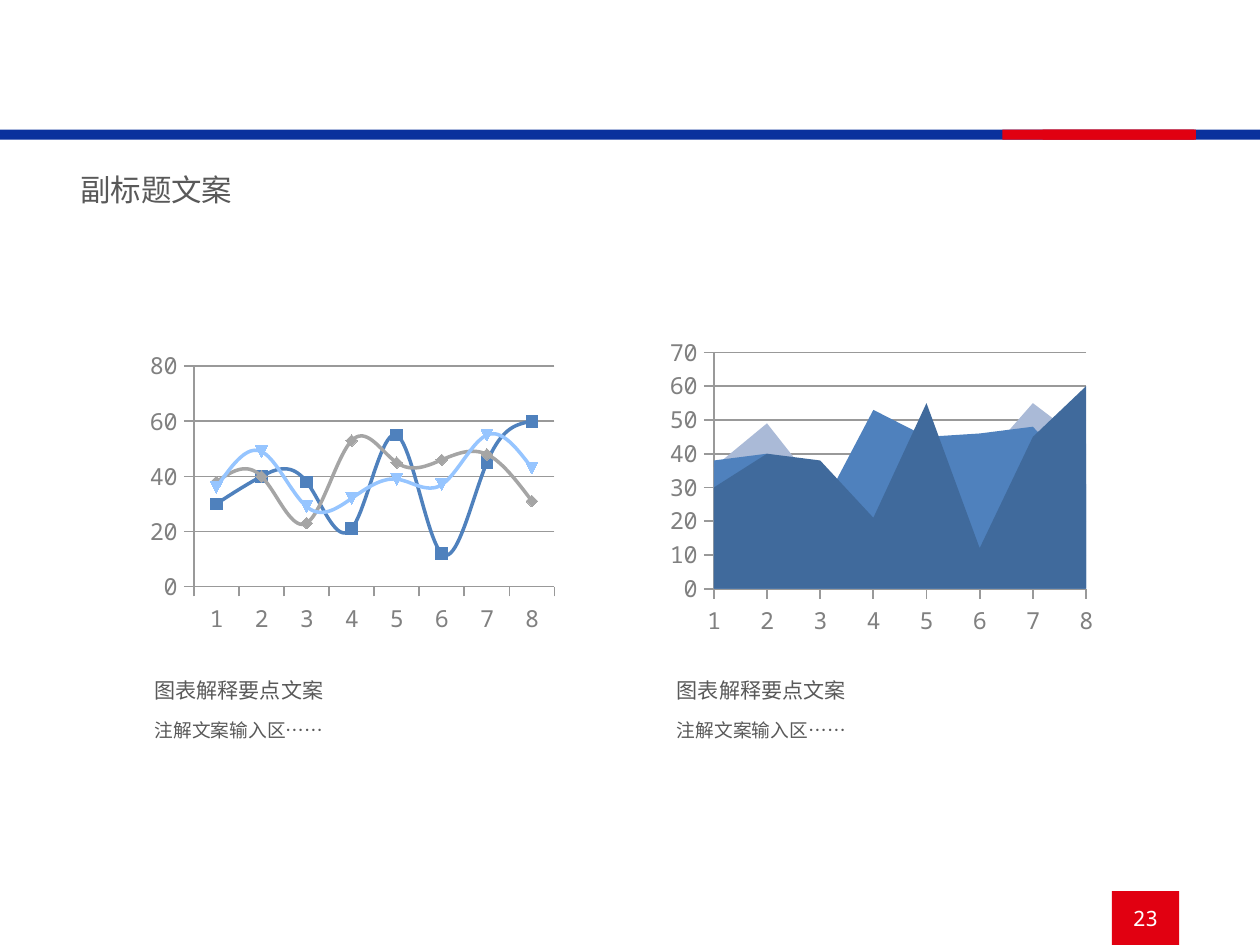
from dataclasses import dataclass
from typing import Any

from lxml.etree import SubElement as Sub
from pptx import Presentation
from pptx.chart.data import CategoryChartData as Data
from pptx.dml.color import RGBColor
from pptx.enum.chart import XL_CHART_TYPE as Kind, XL_MARKER_STYLE as Mark, XL_TICK_MARK as Tick
from pptx.enum.shapes import MSO_SHAPE as Shape
from pptx.enum.text import MSO_ANCHOR as Anchor, PP_ALIGN as Align
from pptx.oxml.ns import qn
from pptx.util import Inches, Pt

WIDE, HIGH = Inches(7.48), Inches(5.61)
MONO, HAN = "Noto Sans Mono", "Noto Sans CJK SC"
BLUE, RED, INK, GREY, RULE = "0A319D", "E10011", "595959", "808080", "999999"
ROWS = {
    "Series 1": (30, 40, 38, 21, 55, 12, 45, 60),
    "Series 2": (38, 40, 23, 53, 45, 46, 48, 31),
    "Series 3": (36, 49, 29, 32, 39, 37, 55, 43),
}


@dataclass
class Box:
    """Left, top, width and height in percent of the slide."""
    left: float
    top: float
    width: float
    height: float

    def place(self) -> tuple[int, ...]:
        sides = (self.left, WIDE), (self.top, HIGH), (self.width, WIDE), (self.height, HIGH)
        return tuple(round(part * full / 100) for part, full in sides)


@dataclass
class Line:
    text: str
    size: float
    face: str = HAN
    tone: str = INK
    align: Any = Align.LEFT
    before: float = 0


@dataclass
class Graph:
    kind: Any
    box: Box
    plot: tuple[float, ...]
    top: int
    step: int
    tones: tuple[str, ...]


def color(tone: str) -> RGBColor:
    return RGBColor.from_string(tone)


def apply(item: Any, values: dict[str, Any]) -> None:
    for name, value in values.items():
        setattr(item, name, value)


def style(font: Any, size: float, face: str, tone: str) -> None:
    apply(font, {"size": Pt(size), "name": face})
    font.color.rgb = color(tone)


def stroke(line: Any, tone: str, width: float) -> None:
    line.color.rgb = color(tone)
    line.width = Pt(width)


def write(frame: Any, lines: list[Line], anchor: Any) -> None:
    apply(frame, {"word_wrap": True, "vertical_anchor": anchor,
                  "margin_left": Inches(0.1), "margin_right": Inches(0.1),
                  "margin_top": Inches(0.03), "margin_bottom": Inches(0.03)})
    for i, line in enumerate(lines):
        para = frame.add_paragraph() if i else frame.paragraphs[0]
        apply(para, {"alignment": line.align, "space_before": Pt(line.before)})
        run = para.add_run()
        run.text = line.text
        style(run.font, line.size, line.face, line.tone)
        Sub(run.font._element, qn("a:ea"), typeface=line.face)


def block(slide: Any, box: Box, tone: str) -> Any:
    shape = slide.shapes.add_shape(Shape.RECTANGLE, *box.place())
    shape.shadow.inherit = False
    shape.fill.solid()
    shape.fill.fore_color.rgb = color(tone)
    shape.line.fill.background()
    return shape


def label(slide: Any, box: Box, lines: list[Line], anchor: Any = Anchor.TOP) -> None:
    write(slide.shapes.add_textbox(*box.place()).text_frame, lines, anchor)


def layout(chart: Any, plot: tuple[float, ...]) -> None:
    area = chart._chartSpace.chart.plotArea
    for old in area.findall(qn("c:layout")):
        area.remove(old)
    node = area.makeelement(qn("c:layout"))
    area.insert(0, node)
    manual = Sub(node, qn("c:manualLayout"))
    marks = {"layoutTarget": "inner", "xMode": "edge", "yMode": "edge",
             **dict(zip("xywh", map(str, plot)))}
    for name, value in marks.items():
        Sub(manual, qn(f"c:{name}"), val=value)


def draw(slide: Any, graph: Graph) -> None:
    data = Data()
    data.categories = [str(n) for n in range(1, 9)]
    for name, row in ROWS.items():
        data.add_series(name, row)
    chart = slide.shapes.add_chart(graph.kind, *graph.box.place(), data).chart
    apply(chart, {"has_legend": False, "has_title": False})
    style(chart.font, 10, MONO, INK)
    layout(chart, graph.plot)

    # Axes
    values = chart.value_axis
    apply(values, {"minimum_scale": 0, "maximum_scale": graph.top,
                   "major_unit": graph.step, "has_major_gridlines": True})
    stroke(values.major_gridlines.format.line, RULE, 0.75)
    for axis in (values, chart.category_axis):
        apply(axis, {"major_tick_mark": Tick.OUTSIDE, "minor_tick_mark": Tick.NONE})
        style(axis.tick_labels.font, 10, MONO, GREY)
        stroke(axis.format.line, RULE, 0.75)

    # Series
    plot = chart.plots[0]
    plot.vary_by_categories = False
    lined = graph.kind == Kind.LINE_MARKERS
    cross = values._element.find(qn("c:crossBetween"))
    if cross is not None:
        cross.set("val", "between" if lined else "midCat")
    for series, tone in zip(plot.series, graph.tones):
        fills = [series.format.fill]
        if lined:
            series.smooth = True
            stroke(series.format.line, tone, 1.5)
            apply(series.marker, {"style": Mark.AUTOMATIC, "size": 5})
            series.marker.format.line.fill.background()
            fills = [series.marker.format.fill]
        for fill in fills:
            fill.solid()
            fill.fore_color.rgb = color(tone)


def main() -> None:
    deck = Presentation()
    apply(deck, {"slide_width": WIDE, "slide_height": HIGH})
    slide = deck.slides.add_slide(deck.slide_layouts[6])

    # Header band
    for box, tone in ((Box(0, 13.73, 100, 1.07), BLUE),
                      (Box(82.75, 13.73, 12.03, 1.07), RED),
                      (Box(79.55, 13.73, 15.37, 1.07), RED)):
        block(slide, box, tone)

    # Charts
    for graph in (
        Graph(Kind.AREA, Box(52.81, 35.47, 34.36, 32.26), (0.112, 0.057, 0.86, 0.775),
              70, 10, ("406A9C", "4F81BD", "AABAD7")),
        Graph(Kind.LINE_MARKERS, Box(11.76, 35.47, 33.96, 32.26), (0.107, 0.102, 0.843, 0.723),
              80, 20, ("4F81BD", "A5A5A5", "96C5FF")),
    ):
        draw(slide, graph)

    # Page number
    page = block(slide, Box(88.24, 94.3, 5.35, 5.7), RED)
    write(page.text_frame, [Line("23", 9, MONO, "FFFFFF", Align.CENTER)], Anchor.MIDDLE)

    # Subtitle and captions
    label(slide, Box(5.08, 17.11, 21.12, 5.88), [Line("副标题文案", 13)], Anchor.MIDDLE)
    for left in (10.96, 52.41):
        label(slide, Box(left, 71.12, 34.36, 9.09),
              [Line("图表解释要点文案", 9), Line("注解文案输入区……", 8, before=7)])

    deck.save("out.pptx")


if __name__ == "__main__":
    main()
